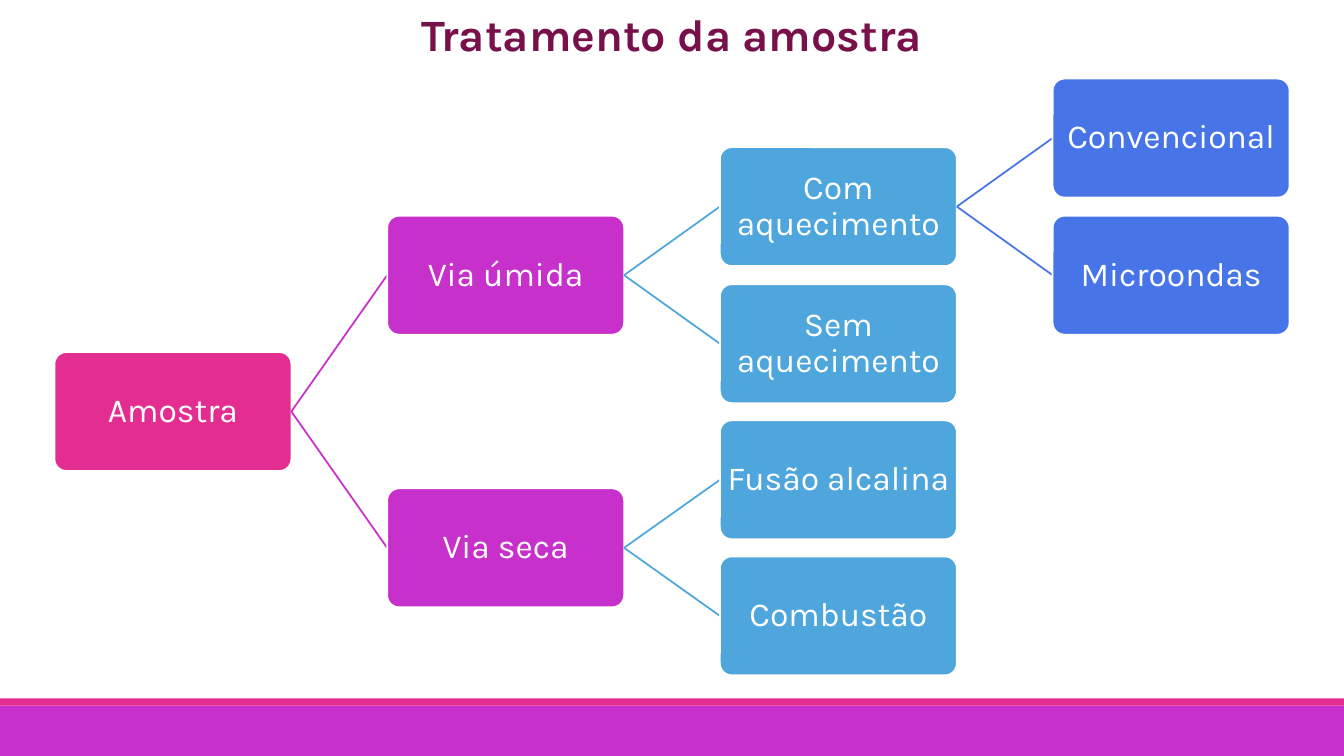
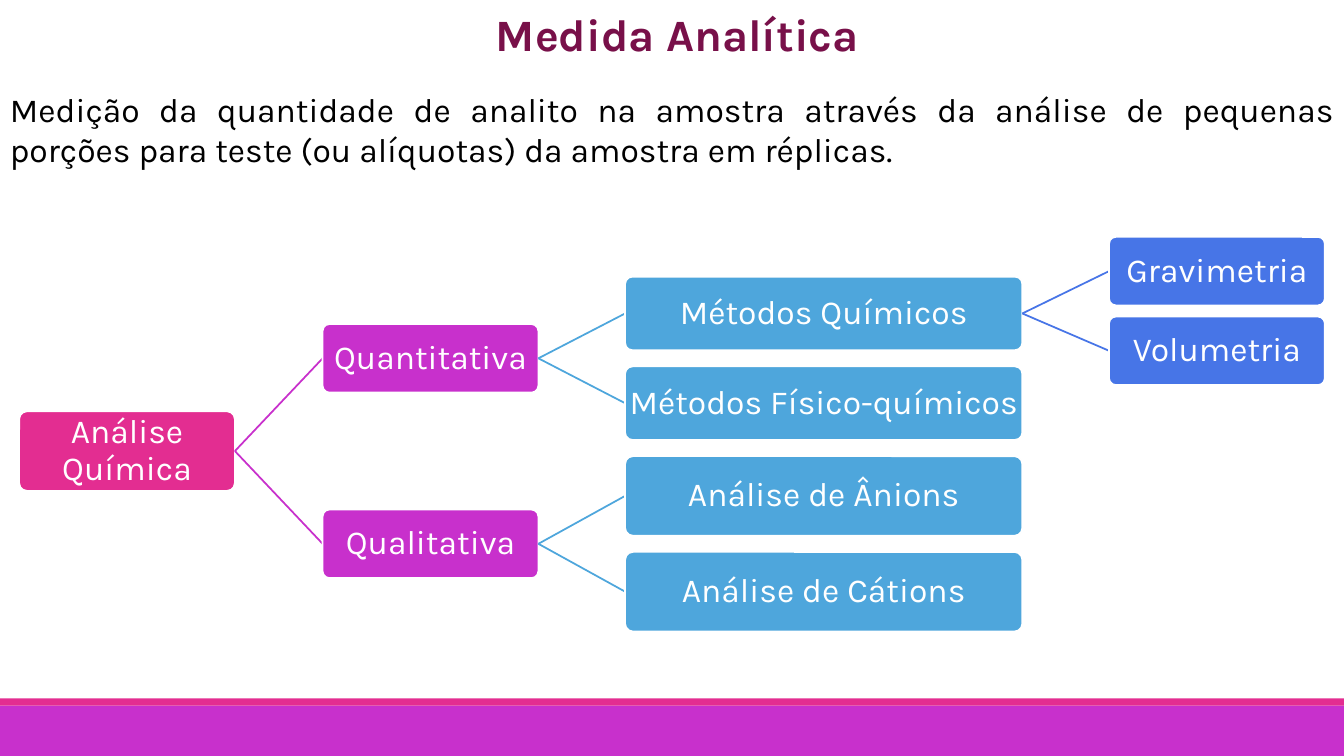
from dataclasses import dataclass
from typing import Any, Optional

from lxml.etree import SubElement
from pptx import Presentation
from pptx.dml.color import RGBColor
from pptx.enum.shapes import MSO_CONNECTOR, MSO_SHAPE
from pptx.enum.text import MSO_ANCHOR, MSO_AUTO_SIZE, PP_ALIGN
from pptx.oxml.ns import qn
from pptx.util import Inches, Pt

COLORS = {
    "pink": "E32D91",
    "purple": "C830CC",
    "sky": "4EA6DC",
    "blue": "4775E7",
    "title": "781049",
    "black": "000000",
    "white": "FFFFFF",
}
LEVEL_COLORS = ["pink", "purple", "sky", "blue"]
SLIDE_WIDTH, SLIDE_HEIGHT = 13.33, 7.5
LINE_WIDTH = Pt(1.25)
BOX_INSET = Inches(0.02)

TITLE_FONT = {"name": "Karla", "size": Pt(32), "bold": True}
BODY_FONT = {"name": "Karla", "size": Pt(24), "bold": False}
FLOWING_FRAME = {
    "word_wrap": True,
    "vertical_anchor": MSO_ANCHOR.TOP,
    "auto_size": MSO_AUTO_SIZE.SHAPE_TO_FIT_TEXT,
}
BOX_FRAME = {
    "word_wrap": True,
    "vertical_anchor": MSO_ANCHOR.MIDDLE,
    "margin_left": BOX_INSET,
    "margin_right": BOX_INSET,
    "margin_top": BOX_INSET,
    "margin_bottom": BOX_INSET,
}


@dataclass(frozen=True)
class Column:
    """Left edge and width of the boxes of one tree level."""
    left: float
    width: float


@dataclass(frozen=True)
class Node:
    """A box; without a given centre it sits midway between its children."""
    label: str
    height: float
    center: Optional[float] = None
    children: tuple["Node", ...] = ()

    @property
    def middle(self) -> float:
        if self.center is not None:
            return self.center
        return sum(child.middle for child in self.children) / len(self.children)


@dataclass(frozen=True)
class TreeSlide:
    title: str
    columns: list[Column]
    root: Node
    introduction: str = ""


@dataclass(frozen=True)
class Band:
    top: float
    height: float
    color: str


BANDS = [Band(7, 0.5, "purple"), Band(6.93, 0.07, "pink")]

TREE_SLIDES = [
    TreeSlide(
        title="Tratamento da amostra",
        columns=[Column(0.54 + 3.3 * level, 2.35) for level in range(4)],
        root=Node("Amostra", 1.18, children=(
            Node("Via úmida", 1.18, children=(
                Node("Com aquecimento", 1.18, 2.05, (
                    Node("Convencional", 1.18, 1.37),
                    Node("Microondas", 1.18, 2.73),
                )),
                Node("Sem aquecimento", 1.18, 3.41),
            )),
            Node("Via seca", 1.18, children=(
                Node("Fusão alcalina", 1.18, 4.76),
                Node("Combustão", 1.18, 6.11),
            )),
        )),
    ),
    TreeSlide(
        title=" Medida Analítica",
        introduction="Medição da quantidade de analito na amostra através da "
                     "análise de pequenas porções para teste (ou alíquotas) "
                     "da amostra em réplicas.",
        columns=[Column(0.19, 2.14), Column(3.2, 2.14),
                 Column(6.2, 3.94), Column(11, 2.14)],
        root=Node("Análise Química", 0.79, children=(
            Node("Quantitativa", 0.68, children=(
                Node("Métodos Químicos", 0.73, 3.11, (
                    Node("Gravimetria", 0.68, 2.69),
                    Node("Volumetria", 0.68, 3.48),
                )),
                Node("Métodos Físico-químicos", 0.73, 4),
            )),
            Node("Qualitativa", 0.68, children=(
                Node("Análise de Ânions", 0.79, 4.92),
                Node("Análise de Cátions", 0.79, 5.87),
            )),
        )),
    ),
]


def color(name: str) -> RGBColor:
    return RGBColor.from_string(COLORS[name])


def set_attributes(target: Any, values: dict[str, Any]) -> None:
    for name, value in values.items():
        setattr(target, name, value)


def place(shape: Any, left: float, top: float, width: float, height: float) -> None:
    set_attributes(shape, {"left": Inches(left), "top": Inches(top),
                           "width": Inches(width), "height": Inches(height)})


def write(shape: Any, text: str, frame: dict, font: dict, font_color: str,
          alignment: PP_ALIGN, line_spacing: float = 1.0) -> None:
    text_frame = shape.text_frame
    set_attributes(text_frame, frame)
    paragraph = text_frame.paragraphs[0]
    run = paragraph.add_run()
    run.text = text
    set_attributes(paragraph, {"alignment": alignment, "line_spacing": line_spacing})
    set_attributes(run.font, font)
    run.font.color.rgb = color(font_color)


def add_filled_shape(slide: Any, preset: MSO_SHAPE, left: float, top: float,
                     width: float, height: float, fill: str) -> Any:
    shape = slide.shapes.add_shape(preset, Inches(left), Inches(top),
                                   Inches(width), Inches(height))
    shape.shadow.inherit = False
    shape.fill.solid()
    shape.fill.fore_color.rgb = color(fill)
    return shape


def add_bands_to_layout(slide: Any) -> None:
    """Draw the bottom bands, then move them behind everything in the layout."""
    layout_tree = slide.slide_layout.shapes.element
    for position, band in enumerate(BANDS, start=2):
        shape = add_filled_shape(slide, MSO_SHAPE.RECTANGLE, 0, band.top,
                                 SLIDE_WIDTH, band.height, band.color)
        shape.line.fill.background()
        layout_tree.insert(position, shape.element)


def add_branch(slide: Any, start: tuple[float, float], end: tuple[float, float],
               line_color: str) -> None:
    connector = slide.shapes.add_connector(
        MSO_CONNECTOR.STRAIGHT, *(Inches(value) for value in (*start, *end)))
    connector.line.width = LINE_WIDTH
    connector.line.color.rgb = color(line_color)
    SubElement(connector.element.spPr, qn("a:effectLst"))


def add_node(slide: Any, node: Node, columns: list[Column], level: int = 0) -> None:
    column = columns[level]
    box = add_filled_shape(slide, MSO_SHAPE.ROUNDED_RECTANGLE, column.left,
                           node.middle - node.height / 2, column.width,
                           node.height, LEVEL_COLORS[level])
    box.adjustments[0] = 0.1
    box.line.width = LINE_WIDTH
    box.line.color.rgb = color("white")
    write(box, node.label, BOX_FRAME, BODY_FONT, "white", PP_ALIGN.CENTER, 0.9)
    for child in node.children:
        add_branch(slide, (column.left + column.width, node.middle),
                   (columns[level + 1].left, child.middle), LEVEL_COLORS[level + 1])
        add_node(slide, child, columns, level + 1)


def add_tree_slide(presentation: Any, content: TreeSlide) -> Any:
    slide = presentation.slides.add_slide(presentation.slide_layouts[5])
    # Title
    title = slide.shapes.title
    place(title, 0, 0.02, SLIDE_WIDTH, 0.64)
    write(title, content.title, FLOWING_FRAME, TITLE_FONT, "title", PP_ALIGN.CENTER)
    # Introduction
    if content.introduction:
        text_box = slide.shapes.add_textbox(0, Inches(0.83), Inches(SLIDE_WIDTH),
                                            Inches(0.91))
        write(text_box, content.introduction, FLOWING_FRAME, BODY_FONT, "black",
              PP_ALIGN.JUSTIFY)
    # Tree
    add_node(slide, content.root, content.columns)
    return slide


def main() -> None:
    presentation = Presentation()
    presentation.slide_width = Inches(SLIDE_WIDTH)
    presentation.slide_height = Inches(SLIDE_HEIGHT)
    slides = [add_tree_slide(presentation, content) for content in TREE_SLIDES]
    add_bands_to_layout(slides[0])
    presentation.save("out.pptx")


if __name__ == "__main__":
    main()
